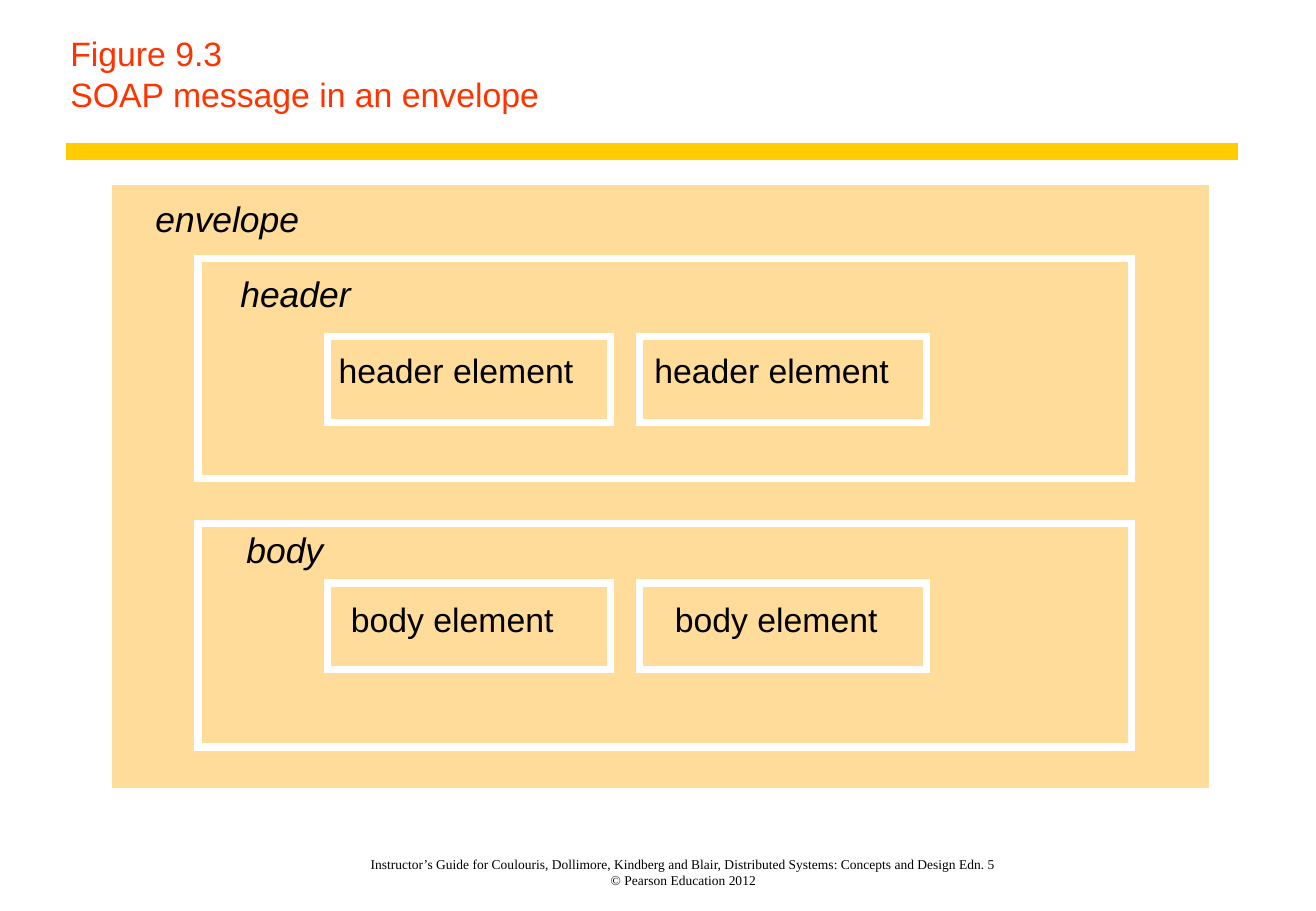
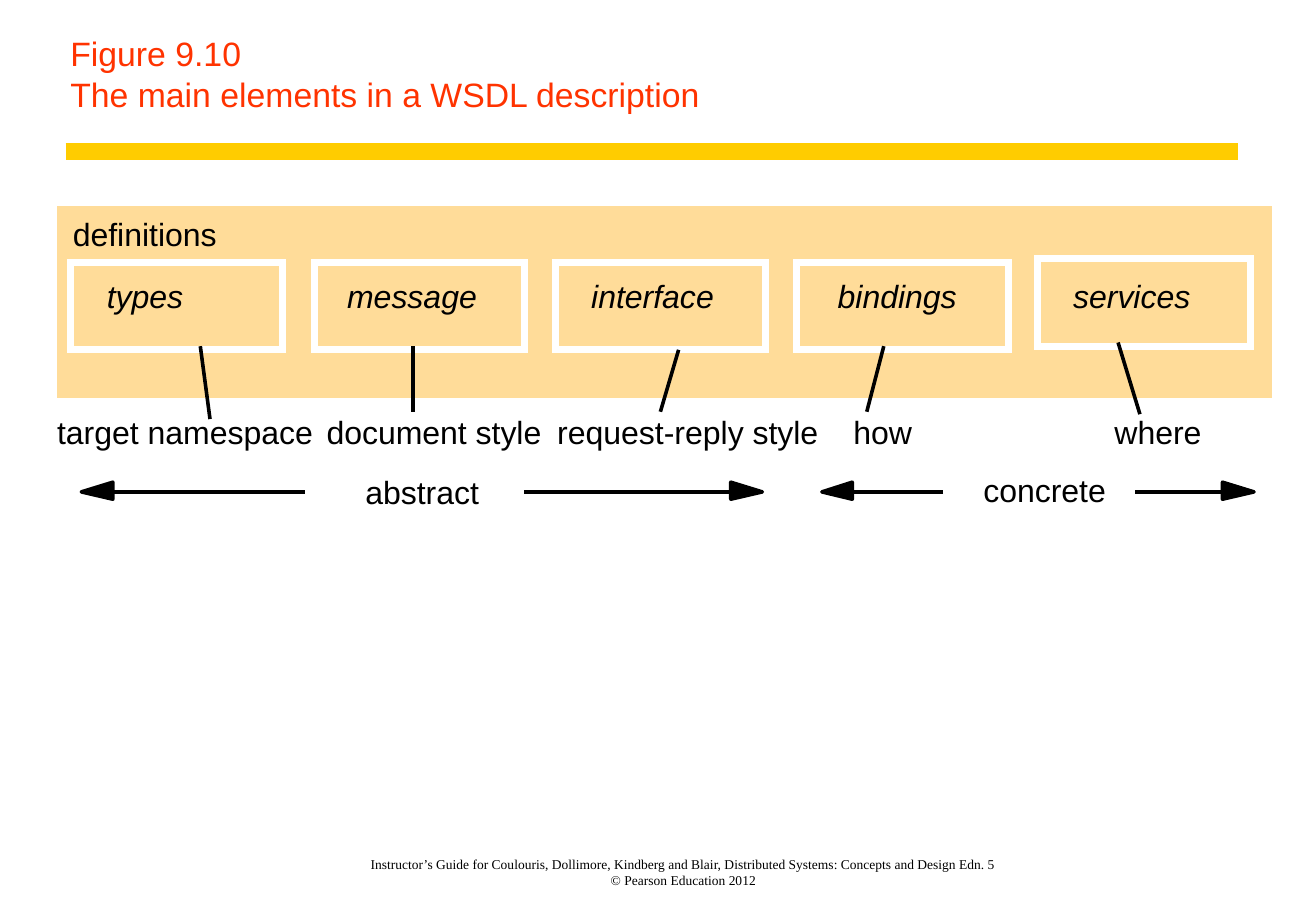
from lxml import etree
from pptx import Presentation
from pptx.dml.color import RGBColor
from pptx.enum.shapes import MSO_CONNECTOR, MSO_SHAPE
from pptx.enum.text import MSO_ANCHOR, PP_ALIGN
from pptx.oxml.ns import qn
from pptx.util import Inches, Pt

RED = RGBColor(0xFF, 0x33, 0x00)
GOLD = RGBColor(0xFF, 0xCC, 0x00)
SAND = RGBColor(0xFF, 0xDC, 0x99)
WHITE = RGBColor(0xFF, 0xFF, 0xFF)
BLACK = RGBColor(0x00, 0x00, 0x00)
LABEL_SLACK = 0.1
FOOTER = ("Instructor’s Guide for Coulouris, Dollimore, Kindberg and Blair, "
          "Distributed Systems: Concepts and Design Edn. 5\n"
          "© Pearson Education 2012")


def add_text(s, text, x, y, w, h, size, color=BLACK, name="Arial", italic=False):
    sp = s.shapes.add_textbox(Inches(x), Inches(y), Inches(w), Inches(h))
    tf = sp.text_frame
    tf.margin_left = tf.margin_top = tf.margin_right = tf.margin_bottom = 0
    tf.word_wrap = True
    p = tf.paragraphs[0]
    p.text = text
    p.font.size = Pt(size)
    p.font.name = name
    p.font.italic = italic
    p.font.color.rgb = color
    return tf


def add_line(s, x1, y1, x2, y2, color=BLACK, width=2.13):
    sp = s.shapes.add_connector(MSO_CONNECTOR.STRAIGHT, Inches(x1), Inches(y1),
                                Inches(x2), Inches(y2))
    sp.line.color.rgb = color
    sp.line.width = Pt(width)
    etree.SubElement(sp._element.spPr, qn("a:effectLst"))


prs = Presentation()
prs.slide_width = Inches(10.84)
prs.slide_height = Inches(7.5)

soap_boxes = [(0.89, 1.49, 9.1, 5.03), (1.63, 2.13, 7.69, 1.81), (1.63, 4.31, 7.69, 1.84)]
for y in (2.77, 4.8):
    soap_boxes += [(2.7, y, 2.33, 0.71), (5.27, y, 2.36, 0.71)]
soap_labels = [
    ("envelope", 1.28, 1.62, 1.18, 21, True),
    ("header", 1.98, 2.24, 0.91, 21, True),
    ("body", 2.03, 4.35, 0.63, 21, True),
    ("header element", 2.79, 2.88, 1.94, 20, False),
    ("header element", 5.39, 2.88, 1.94, 20, False),
    ("body element", 2.89, 4.93, 1.67, 20, False),
    ("body element", 5.56, 4.93, 1.67, 20, False),
]

wsdl_boxes = [(0.44, 1.67, 10.07, 1.64)]
for x, y, w in [(0.58, 2.16, 1.75), (2.59, 2.16, 1.73), (4.58, 2.16, 1.73),
                (6.56, 2.16, 1.75), (8.55, 2.13, 1.75)]:
    wsdl_boxes.append((x, y, w, 0.72))
wsdl_labels = [
    ("definitions", 0.6, 1.77, 1.19, 19, False),
    ("abstract", 3.01, 3.89, 0.94, 19, False),
    ("concrete", 8.1, 3.87, 1.01, 19, False),
]
for text, x, w in [("types", 0.88, 0.63), ("message", 2.86, 1.07), ("interface", 4.87, 1.01),
                   ("bindings", 6.9, 0.98), ("services", 8.84, 0.97)]:
    wsdl_labels.append((text, x, 2.28, w, 19, True))
for text, x, w in [("target namespace", 0.47, 2.11), ("document style", 2.69, 1.77),
                   ("request-reply style", 4.59, 2.15), ("how", 7.03, 0.48),
                   ("where", 9.18, 0.72)]:
    wsdl_labels.append((text, x, 3.4, w, 19, False))

figures = [
    ("Figure 9.3\nSOAP message in an envelope", soap_boxes, 4.37, soap_labels),
    ("Figure 9.10\nThe main elements in a WSDL description", wsdl_boxes, 4.14, wsdl_labels),
]

for title, boxes, border, labels in figures:
    s = prs.slides.add_slide(prs.slide_layouts[6])

    tf = add_text(s, FOOTER, 2.35, 6.92, 6.56, 0.39, 8, name="Times New Roman")
    tf.vertical_anchor = MSO_ANCHOR.BOTTOM
    tf.paragraphs[0].alignment = PP_ALIGN.CENTER

    add_line(s, 0.54, 1.25, 10.2, 1.25, GOLD, 10)

    tf = add_text(s, title, 0.58, 0, 9.5, 0.94, 20, RED)
    tf.vertical_anchor = MSO_ANCHOR.BOTTOM

    for box in boxes:
        sp = s.shapes.add_shape(MSO_SHAPE.RECTANGLE, *[Inches(v) for v in box])
        sp.shadow.inherit = False
        sp.fill.solid()
        sp.fill.fore_color.rgb = SAND
        sp.line.color.rgb = WHITE
        sp.line.width = Pt(border)
        etree.SubElement(sp._element.spPr.find(qn("a:ln")), qn("a:miter"), lim="800000")

    for text, x, y, w, size, italic in labels:
        add_text(s, text, x, y, w + LABEL_SLACK, 0.34, size, italic=italic)

for leader in [(1.65, 2.85, 1.73, 3.45), (3.4, 2.85, 3.4, 3.39), (5.59, 2.88, 5.44, 3.39),
               (7.28, 2.85, 7.14, 3.39), (9.21, 2.82, 9.39, 3.41)]:
    add_line(s, *leader)

for tail, base, tip in [(2.51, 0.93, 0.67), (4.32, 6.02, 6.28),
                        (7.77, 7.02, 6.77), (9.35, 10.07, 10.33)]:
    add_line(s, tail, 4.05, base, 4.05)
    head = s.shapes.build_freeform(Inches(base), Inches(3.97))
    head.add_line_segments([(Inches(tip), Inches(4.05)), (Inches(base), Inches(4.11))])
    sp = head.convert_to_shape()
    sp.shadow.inherit = False
    sp.fill.solid()
    sp.fill.fore_color.rgb = BLACK
    sp.line.color.rgb = BLACK
    sp.line.width = Pt(2.13)

prs.save("out.pptx")
